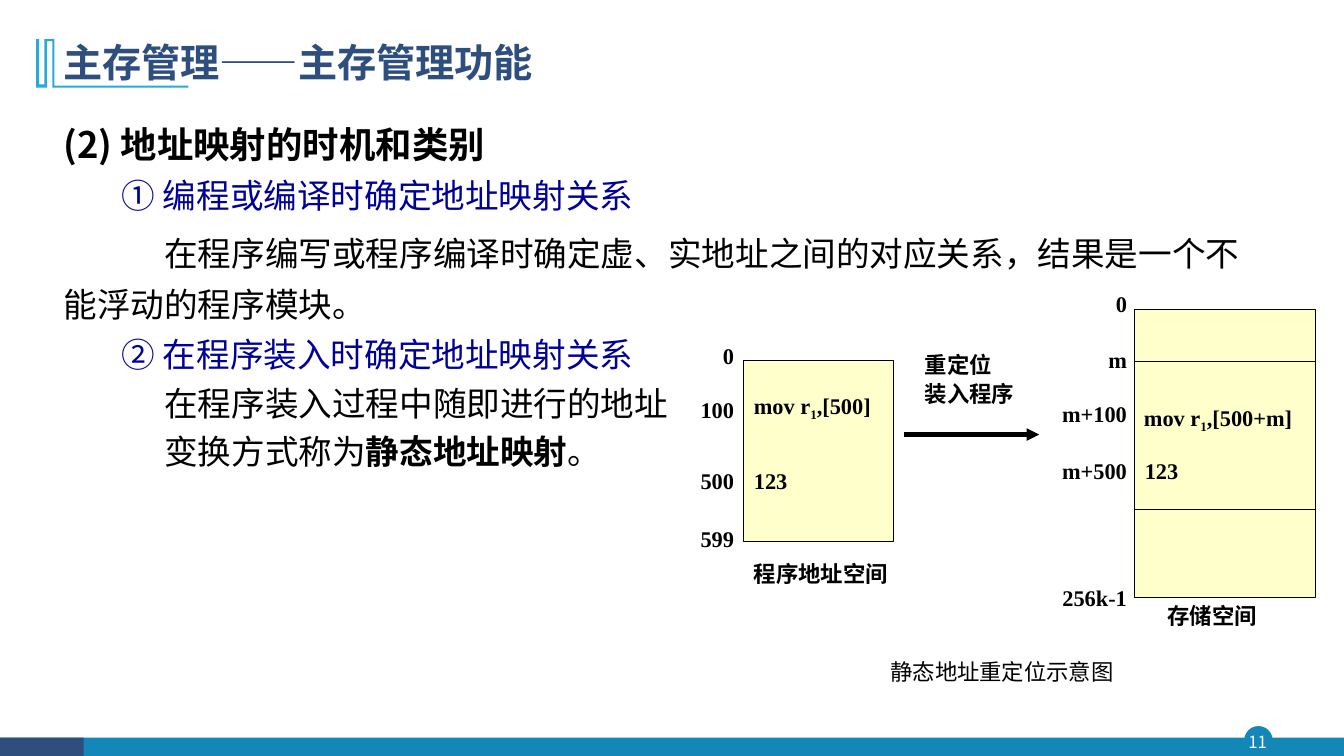
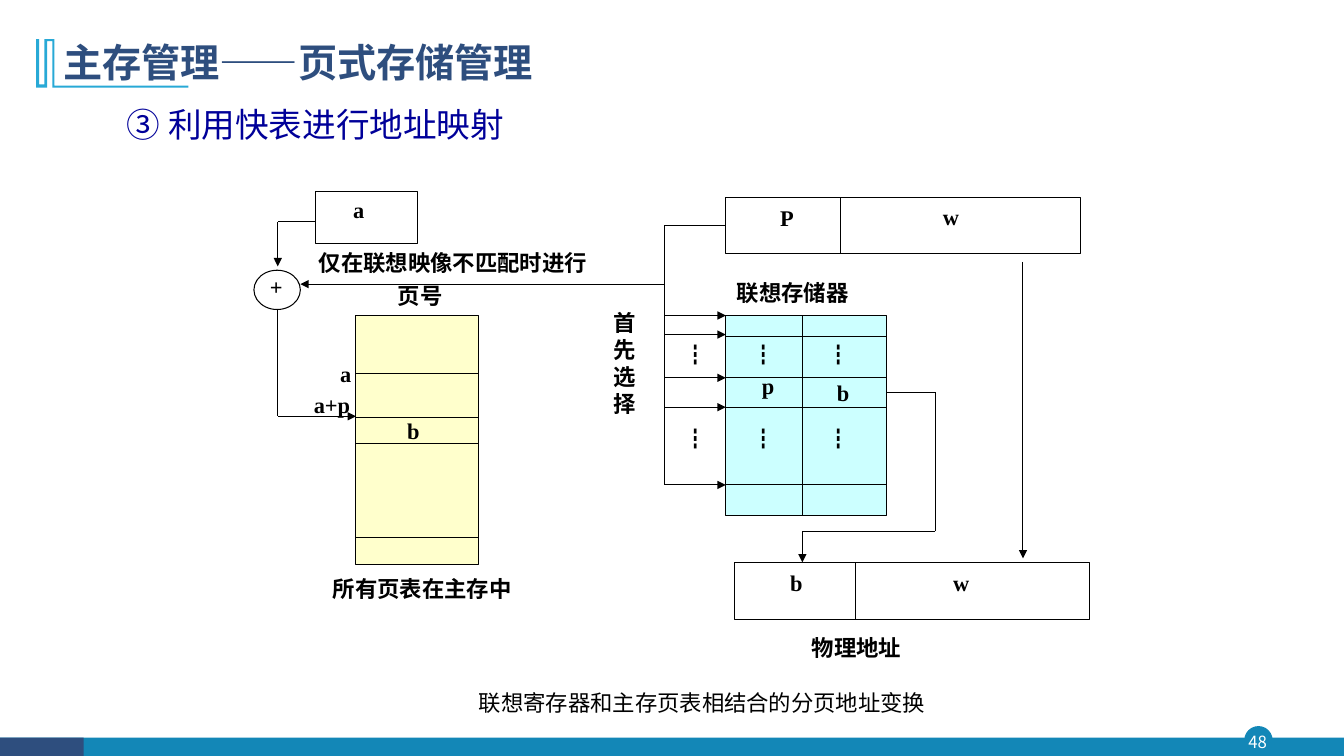
from dataclasses import dataclass
from typing import Optional

import pptx
import pptx.dml.color
import pptx.enum.shapes
import pptx.enum.text
import pptx.oxml.ns
import pptx.oxml.xmlchemy
import pptx.util
from lxml import etree

Cm = pptx.util.Cm
Pt = pptx.util.Pt
SHAPE = pptx.enum.shapes.MSO_SHAPE
ALIGN = pptx.enum.text.PP_ALIGN
qn = pptx.oxml.ns.qn


# Theme
@dataclass(frozen=True)
class Theme:
    navy: str = "2E4E7E"
    teal: str = "1387B7"
    sky: str = "28A9D6"
    ink: str = "000000"
    blue: str = "000099"
    white: str = "FFFFFF"
    cream: str = "FFFFCC"
    aqua: str = "CCFFFF"
    sans: str = "Noto Sans CJK SC"
    serif: str = "Times New Roman"
    title: float = 28
    heading: float = 26
    body: float = 24
    label: float = 16
    number: float = 12
    thin: float = 0.75
    thick: float = 3


T = Theme()


# Element descriptions, lengths in centimetres
@dataclass(frozen=True)
class Run:
    text: str
    size: float = T.label
    color: str = T.ink
    bold: bool = True
    font: str = T.serif
    sub: bool = False


@dataclass(frozen=True)
class Para:
    runs: tuple[Run, ...]
    left: float = 0
    first: float = 0
    before: float = 0
    line: Optional[float] = None
    align: ALIGN = ALIGN.LEFT


@dataclass(frozen=True)
class Box:
    x: float
    y: float
    w: float
    h: float
    fill: str = T.white
    line: Optional[str] = T.ink
    kind: SHAPE = SHAPE.RECTANGLE

    @property
    def right(self) -> float:
        return self.x + self.w

    @property
    def bottom(self) -> float:
        return self.y + self.h


@dataclass(frozen=True)
class Label:
    """A text set by its left edge (or right edge) and vertical centre."""
    x: float
    cy: float
    paras: tuple[Para, ...]
    w: float = 2
    from_right: bool = False


@dataclass(frozen=True)
class Line:
    x1: float
    y1: float
    x2: float
    y2: float
    arrow: bool = False
    width: float = T.thin


# Drawing functions
def rgb(color: str) -> pptx.dml.color.RGBColor:
    return pptx.dml.color.RGBColor.from_string(color)


def add_run(p, run: Run) -> None:
    r = p.add_run()
    r.text = run.text
    f = r.font
    f.name, f.size, f.bold = run.font, Pt(run.size), run.bold
    f.color.rgb = rgb(run.color)
    rpr = r._r.get_or_add_rPr()
    etree.SubElement(rpr, qn("a:ea")).set("typeface", T.sans)
    if run.sub:
        rpr.set("baseline", "-25000")


def add_text(s, x: float, y: float, w: float, h: float, paras: tuple[Para, ...],
             anchor=pptx.enum.text.MSO_ANCHOR.MIDDLE) -> None:
    tf = s.shapes.add_textbox(Cm(x), Cm(y), Cm(w), Cm(h)).text_frame
    tf.word_wrap = True
    tf.vertical_anchor = anchor
    tf.margin_left = tf.margin_right = tf.margin_top = tf.margin_bottom = 0
    for i, para in enumerate(paras):
        p = tf.add_paragraph() if i else tf.paragraphs[0]
        p.alignment = para.align
        ppr = p._p.get_or_add_pPr()
        ppr.set("marL", str(Cm(para.left)))
        ppr.set("indent", str(Cm(para.first)))
        if para.line:
            p.line_spacing = Pt(para.line)
        if para.before:
            p.space_before = Pt(para.before)
        for j, run in enumerate(para.runs):
            if run.text == "\n":
                p.add_line_break()
            else:
                add_run(p, run)


def add_label(s, label: Label) -> None:
    h = 0.94 * len(label.paras)
    x = label.x - label.w if label.from_right else label.x
    add_text(s, x, label.cy - h / 2, label.w, h, label.paras)


def style_shape(sp, fill: str, line: Optional[str]) -> None:
    sp.shadow.inherit = False
    sp.fill.solid()
    sp.fill.fore_color.rgb = rgb(fill)
    if line:
        sp.line.color.rgb = rgb(line)
        sp.line.width = Pt(T.thin)
    else:
        sp.line.fill.background()


def add_box(s, box: Box):
    sp = s.shapes.add_shape(box.kind, Cm(box.x), Cm(box.y), Cm(box.w), Cm(box.h))
    style_shape(sp, box.fill, box.line)
    return sp


def add_line(s, line: Line):
    c = s.shapes.add_connector(pptx.enum.shapes.MSO_CONNECTOR.STRAIGHT,
                               Cm(line.x1), Cm(line.y1), Cm(line.x2), Cm(line.y2))
    c.line.color.rgb = rgb(T.ink)
    c.line.width = Pt(line.width)
    if line.arrow:
        etree.SubElement(c.line._get_or_add_ln(), qn("a:tailEnd")).set("type", "triangle")
    etree.SubElement(c._element.spPr, qn("a:effectLst"))
    return c


def add_rows(s, box: Box, ys: tuple[float, ...]) -> None:
    for y in ys:
        add_line(s, Line(box.x, y, box.right, y))


def add_divider(s, box: Box, x: float) -> None:
    add_line(s, Line(x, box.y, x, box.bottom))


def text(x: float, cy: float, words: str, w: float = 2, **style) -> Label:
    return Label(x, cy, (Para((Run(words, **style),)),), w)


def stacked(x: float, cy: float, words: tuple[str, ...], line: float, w: float) -> Label:
    return Label(x, cy, tuple(Para((Run(t),), line=line) for t in words), w)


def address(x: float, cy: float, words: str) -> Label:
    return Label(x, cy, (Para((Run(words),), align=ALIGN.RIGHT),), 2.2, True)


def move_code(x: float, cy: float, operand: str) -> Label:
    runs = (Run("mov r"), Run("1", sub=True), Run(f",[{operand}]"))
    return Label(x, cy, (Para(runs),), 4.2)


# Shared frame: footer band, page number, emblem and title
EMBLEM = ((1.37, 0.99), (1.37, 2.16), (4.75, 2.16), (4.75, 2.21), (1.32, 2.21),
          (1.32, 1.04), (1.19, 1.04), (1.19, 2.21), (0.91, 2.21), (0.91, 0.99),
          (0.99, 0.99), (0.99, 2.13), (1.12, 2.13), (1.12, 0.99))


def new_slide(prs, topic: str, number: int):
    s = prs.slides.add_slide(prs.slide_layouts[6])
    add_box(s, Box(31.37, 18.31, 0.69, 0.69, T.teal, T.teal, SHAPE.OVAL))
    add_box(s, Box(0, 18.59, 33.87, 0.46, T.teal, None))
    add_box(s, Box(0, 18.59, 2.11, 0.46, T.navy, None))
    num = Run(str(number), T.number, T.white, False, T.sans)
    add_text(s, 31.29, 18.31, 0.81, 0.79, (Para((num,), align=ALIGN.CENTER),))
    points = [(Cm(x), Cm(y)) for x, y in EMBLEM]
    fb = s.shapes.build_freeform(*points[0])
    fb.add_line_segments(points[1:], close=True)
    style_shape(fb.convert_to_shape(), T.sky, None)
    title = Run(f"主存管理——{topic}", T.title, T.navy, True, T.sans)
    add_text(s, 1.6, 0.89, 26, 1.3, (Para((title,), line=36),),
             pptx.enum.text.MSO_ANCHOR.TOP)
    return s


# Slide: static relocation
def relocation_slide(prs) -> None:
    s = new_slide(prs, "主存管理功能", 11)

    def body(words: str, color: str = T.ink, bold: bool = False) -> Run:
        return Run(words, T.body, color, bold, T.sans)

    paras = (
        Para((Run("(2) 地址映射的时机和类别", T.heading, font=T.sans),), line=34),
        Para((body("① 编程或编译时确定地址映射关系", T.blue),), 1.47, before=1.7, line=34),
        Para((body("在程序编写或程序编译时确定虚、实地址之间的对应关系，结果是一个不"),
              body("\n"), body("能浮动的程序模块。")), first=2.54, before=5.4, line=36),
        Para((body("② 在程序装入时确定地址映射关系", T.blue),), 1.47, before=2.4, line=34),
        Para((body("在程序装入过程中随即进行的地址"),), 2.54, line=34.3),
        Para((body("变换方式称为"), body("静态地址映射", bold=True), body("。")),
             2.54, line=34.3),
    )
    add_text(s, 1.6, 2.97, 30.66, 9.2, paras, pptx.enum.text.MSO_ANCHOR.TOP)

    # Address spaces
    program = Box(18.75, 9.09, 3.78, 4.55, T.cream)
    store = Box(28.58, 7.8, 4.57, 7.26, T.cream)
    for box in (program, store):
        add_box(s, box)
    add_rows(s, store, (9.12, 12.83))
    add_line(s, Line(22.78, 10.95, 26.19, 10.95, True, T.thick))

    # Addresses, contents and captions
    labels = (
        *(address(18.5, y, t) for y, t in
          ((8.95, "0"), (10.33, "100"), (12.12, "500"), (13.58, "599"))),
        *(address(28.4, y, t) for y, t in
          ((7.66, "0"), (9.07, "m"), (10.41, "m+100"), (11.87, "m+500"),
           (15.07, "256k-1"))),
        move_code(19, 10.26, "500"), text(19, 12.1, "123"),
        move_code(28.83, 10.56, "500+m"), text(28.85, 11.87, "123"),
        text(19, 14.46, "程序地址空间", 4), text(29.42, 15.52, "存储空间", 3),
        stacked(23.31, 9.53, ("重定位", "装入程序"), 20.7, 3),
        text(22.44, 16.91, "静态地址重定位示意图", 7, bold=False),
    )
    for label in labels:
        add_label(s, label)


# Slide: address mapping with the associative memory
def fast_table_slide(prs) -> None:
    s = new_slide(prs, "页式存储管理", 48)
    add_label(s, text(3.2, 3.13, "③ 利用快表进行地址映射", 12, size=T.body,
                      color=T.blue, bold=False, font=T.sans))

    # Registers and tables
    base = Box(7.95, 4.83, 2.57, 1.3)
    adder = Box(6.4, 6.81, 1.17, 0.99, kind=SHAPE.OVAL)
    pages = Box(8.97, 7.95, 3.1, 6.27, T.cream)
    logical = Box(18.29, 4.98, 8.94, 1.42)
    cache = Box(18.29, 7.95, 4.06, 5.05, T.aqua)
    physical = Box(18.52, 14.17, 8.94, 1.45)
    for box in (base, adder, pages, cache, physical):
        add_box(s, box)
    logical_sp = add_box(s, logical)
    add_rows(s, pages, (9.42, 10.52, 11.18, 13.54))
    add_rows(s, cache, (8.48, 9.52, 10.26, 12.22))
    for box, x in ((logical, 21.18), (cache, 20.22), (physical, 21.56)):
        add_divider(s, box, x)

    # Signal paths
    bus, add_x, out_x, col_x = 16.74, 7, 23.57, 20.22
    top = logical.y + logical.h / 2
    add_line(s, Line(logical.x, top, bus, top)).begin_connect(logical_sp, 1)
    paths = (
        Line(bus, top, bus, 12.22),
        *(Line(bus, y, cache.x, y, True) for y in (7.95, 8.43, 9.52, 10.26, 12.22)),
        Line(bus, 7.16, adder.right, 7.16, True),
        Line(base.x, 5.59, add_x, 5.59),
        Line(add_x, 5.59, add_x, 6.71, True),
        Line(add_x, adder.bottom, add_x, 10.49),
        Line(add_x, 10.49, pages.x, 10.49, True),
        Line(cache.right, 9.88, out_x, 9.88),
        Line(out_x, 9.88, out_x, 13.39),
        Line(out_x, 13.39, col_x, 13.39),
        Line(col_x, 13.39, col_x, physical.y, True),
        Line(25.78, 6.6, 25.78, 14.07, True),
    )
    for path in paths:
        add_line(s, path)

    # Texts
    labels = (
        text(8.9, 5.29, "a"), text(6.8, 7.23, "+", 0.7),
        text(19.66, 5.49, "P"), text(23.76, 5.45, "w"),
        text(19.91, 14.69, "b"), text(24.02, 14.67, "w"),
        text(8.57, 9.42, "a"), text(7.91, 10.2, "a+p"), text(10.26, 10.86, "b"),
        text(19.2, 9.72, "p"), text(21.09, 9.9, "b"),
        text(8.04, 6.62, "仅在联想映像不匹配时进行", 8), text(10.03, 7.46, "页号"),
        stacked(15.45, 9.15, ("首", "先", "选", "择"), 19.3, 0.8),
        text(18.57, 7.36, "联想存储器", 4), text(8.39, 14.82, "所有页表在主存中", 6),
        text(20.46, 16.31, "物理地址", 4),
        text(12.07, 17.7, "联想寄存器和主存页表相结合的分页地址变换", 13, bold=False),
        *(text(x, y, "┇", 0.8, font=T.sans)
          for y in (8.94, 11.05) for x in (17.24, 18.96, 20.85)),
    )
    for label in labels:
        add_label(s, label)


def main() -> None:
    prs = pptx.Presentation()
    prs.slide_width, prs.slide_height = Cm(33.87), Cm(19.05)
    relocation_slide(prs)
    fast_table_slide(prs)
    prs.save("out.pptx")


if __name__ == "__main__":
    main()
